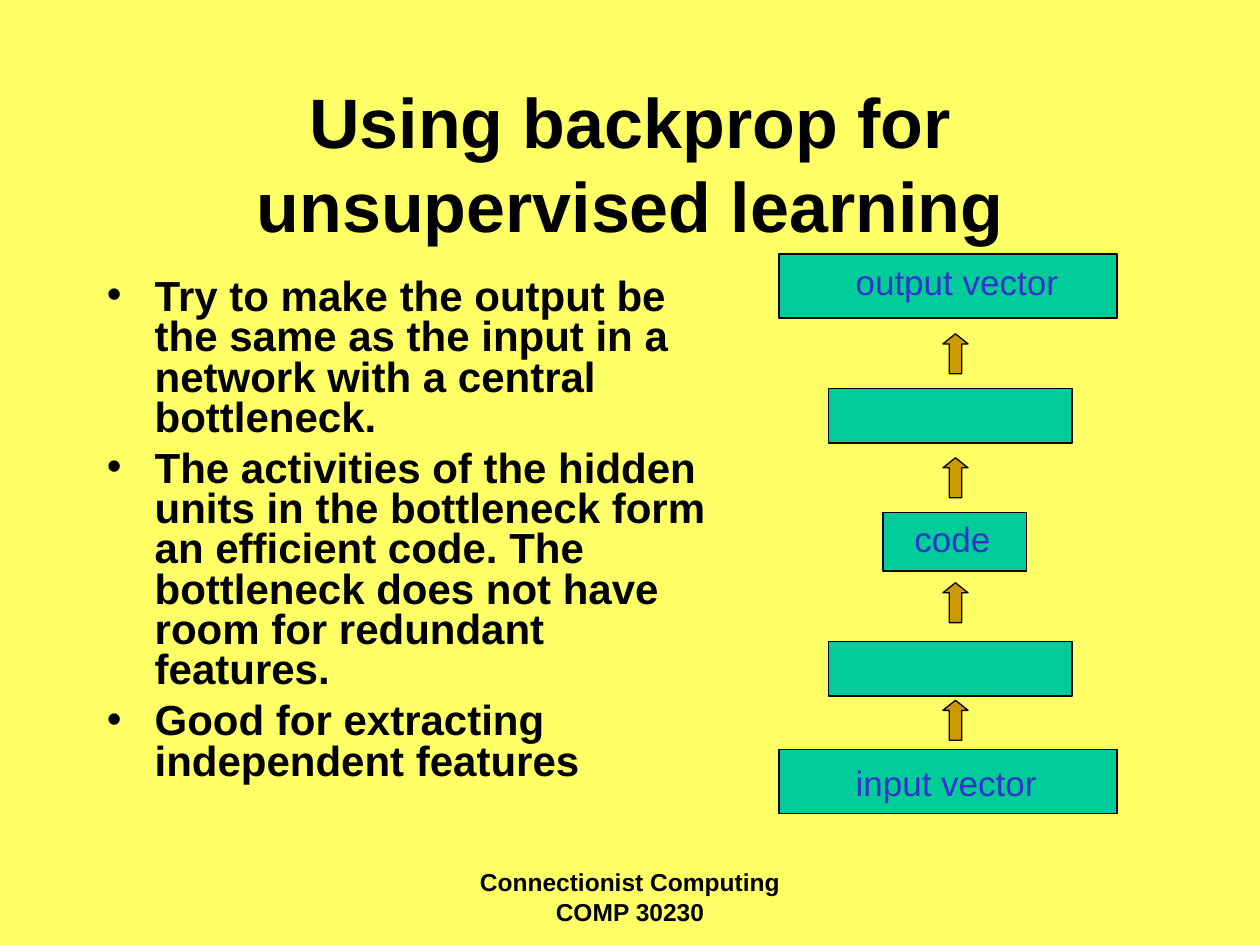
import pptx
import pptx.util
import pptx.dml.color
import pptx.enum.shapes
import pptx.enum.text
import pptx.oxml.ns
import lxml.etree

Pt = pptx.util.Pt
ALIGN = pptx.enum.text.PP_ALIGN
ANCHOR = pptx.enum.text.MSO_ANCHOR
SHAPE = pptx.enum.shapes.MSO_SHAPE

# Places are left, top, width, height on a grid of 120 columns by 90 rows.
COLS, ROWS = 120, 90
TITLE = "Using backprop for unsupervised learning"
TITLE_AT = (9, 8, 102, 15)
POINTS = [
    "Try to make the output be the same as the input in a network with a central bottleneck.",
    "The activities of the hidden units in the bottleneck form an efficient code. "
    "The bottleneck does not have room for redundant features.",
    "Good for extracting independent features",
]
POINTS_AT = (9, 26, 61, 54)
FOOTER = "Connectionist Computing COMP 30230"
FOOTER_AT = (41, 82, 38, 6)

SIZES = {  # left, width, height of each kind of layer
    "end": (74.2, 32.2, 6.1),
    "hidden": (78.9, 23.2, 5.2),
    "code": (84.1, 13.7, 5.6),
}
LAYERS = [("end", 24.2), ("hidden", 37), ("code", 48.8), ("hidden", 61.1), ("end", 71.4)]
LABELS = [
    ("output vector", (80.3, 24.2, 23.6, 5.3)),
    ("code", (85.9, 48.7, 10, 5.3)),
    ("input vector", (80.3, 71.9, 23.6, 5.3)),
]
ARROW_TOPS = [31.8, 43.6, 55.5, 66.7]
ARROW = (89.8, 2.4, 3.8)  # left, width, height

deck = pptx.Presentation()
deck.slide_width = pptx.util.Inches(10)
deck.slide_height = pptx.util.Inches(7.5)
slide = deck.slides.add_slide(deck.slide_layouts[5])


def color(text):
    return pptx.dml.color.RGBColor.from_string(text)


def place(at):
    """Turn grid units into slide lengths."""
    wide, high = deck.slide_width / COLS, deck.slide_height / ROWS
    return [int(n * unit) for n, unit in zip(at, (wide, high, wide, high))]


def bullet(para):
    props = para._p.get_or_add_pPr()
    indent = pptx.util.Inches(0.38)
    props.set("marL", str(indent))
    props.set("indent", str(-indent))
    tint = lxml.etree.SubElement(props, pptx.oxml.ns.qn("a:buClr"))
    lxml.etree.SubElement(tint, pptx.oxml.ns.qn("a:srgbClr"), val="000000")
    lxml.etree.SubElement(props, pptx.oxml.ns.qn("a:buFont"), typeface="Arial")
    lxml.etree.SubElement(props, pptx.oxml.ns.qn("a:buChar"), char="•")


def write(box, lines, size=20, ink="000000", bold=True, align=ALIGN.LEFT,
          anchor=ANCHOR.TOP, bullets=False, spacing=1.0, gap=0):
    frame = box.text_frame
    frame.word_wrap = True
    frame.auto_size = pptx.enum.text.MSO_AUTO_SIZE.NONE
    frame.vertical_anchor = anchor
    frame.text = "\n".join(lines)
    for i, para in enumerate(frame.paragraphs):
        para.alignment = align
        para.line_spacing = spacing
        para.space_before = Pt(gap if i else 0)
        if bullets:
            bullet(para)
        font = para.font
        font.name, font.size, font.bold = "Arial", Pt(size), bold
        font.color.rgb = color(ink)


def text(at, lines, **style):
    write(slide.shapes.add_textbox(*place(at)), lines, **style)


def draw(kind, at, fill):
    shape = slide.shapes.add_shape(kind, *place(at))
    shape.shadow.inherit = False
    shape.fill.solid()
    shape.fill.fore_color.rgb = color(fill)
    shape.line.color.rgb = color("000000")
    shape.line.width = Pt(0.75)
    return shape


slide.background.fill.solid()
slide.background.fill.fore_color.rgb = color("FFFF66")

title = slide.shapes.title
title.left, title.top, title.width, title.height = place(TITLE_AT)
write(title, [TITLE], size=40, align=ALIGN.CENTER, anchor=ANCHOR.MIDDLE)
text(POINTS_AT, POINTS, size=24, bullets=True, spacing=0.8, gap=6)
text(FOOTER_AT, [FOOTER], size=14, align=ALIGN.CENTER)

for kind, top in LAYERS:
    left, width, height = SIZES[kind]
    draw(SHAPE.RECTANGLE, (left, top, width, height), "00CC99")
for label, at in LABELS:
    text(at, [label], ink="3333CC", bold=False)
for top in ARROW_TOPS:
    left, width, height = ARROW
    arrow = draw(SHAPE.UP_ARROW, (left, top, width, height), "CC9900")
    arrow.adjustments[0] = 0.5
    arrow.adjustments[1] = 0.4

deck.save("out.pptx")
